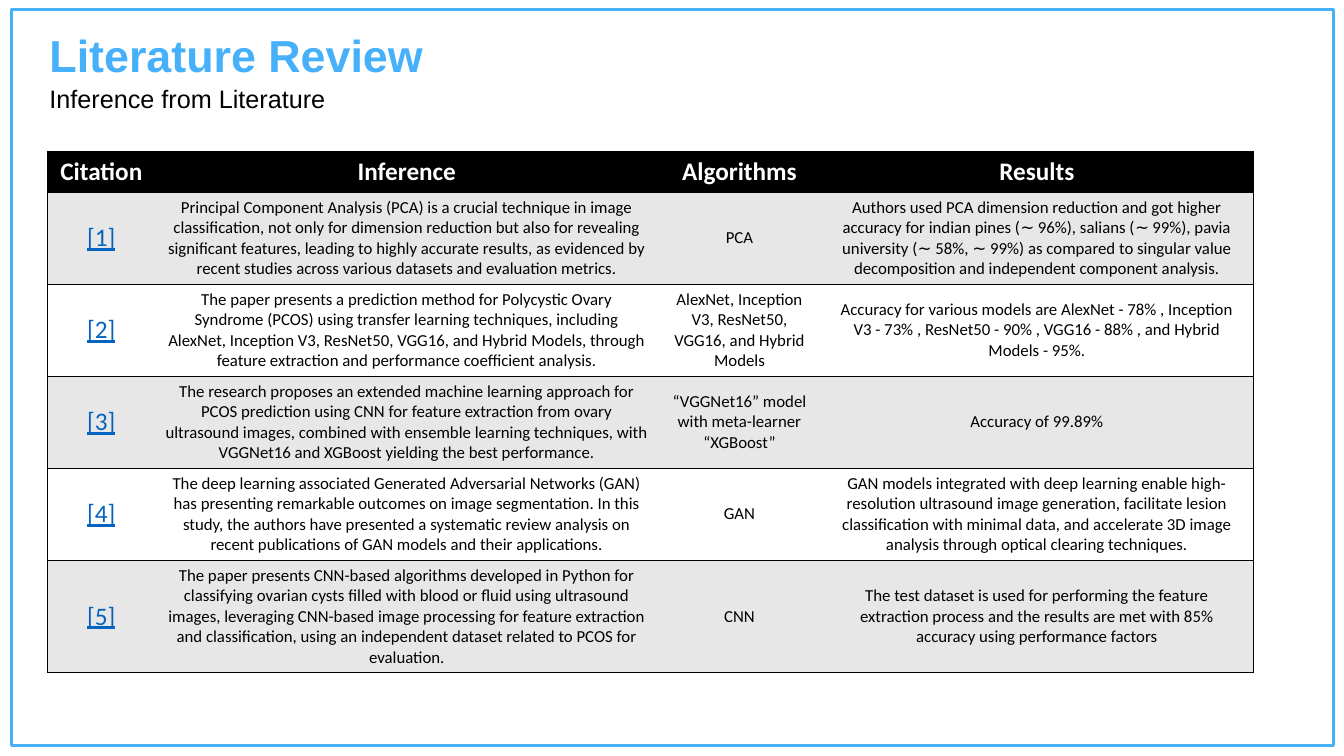
import pptx
import pptx.dml.color
import pptx.enum.shapes
import pptx.enum.text
import pptx.oxml
import pptx.oxml.ns
import pptx.util

Inches = pptx.util.Inches
ALIGN = pptx.enum.text.PP_ALIGN
ANCHOR = pptx.enum.text.MSO_ANCHOR

BLACK, WHITE, GREY, LINK_BLUE = "000000", "FFFFFF", "E7E7E7", "0563C1"
FRAME_BLUE, TITLE_BLUE = "46B0F9", "46B0FA"

TITLE_FONT = {"name": "Arial", "size": pptx.util.Pt(32), "bold": True}
SUBTITLE_FONT = {"name": "Arial", "size": pptx.util.Pt(18), "bold": False}
HEADER_FONT = {"name": "Calibri", "size": pptx.util.Pt(18), "bold": True}
CITATION_FONT = {"name": "Calibri", "size": pptx.util.Pt(18), "bold": False, "underline": True}
DETAIL_FONT = {"name": "Calibri", "size": pptx.util.Pt(12), "bold": False}

COLUMN_WIDTHS = [1.07, 4.99, 1.61, 4.29]
HEADER_HEIGHT, ROW_HEIGHT = 0.4, 0.91
HEADINGS = ["Citation", "Inference", "Algorithms", "Results"]
PAPERS = [
    ["[1]",
     "Principal Component Analysis (PCA) is a crucial technique in image classification, not only for dimension reduction but also for revealing significant features, leading to highly accurate results, as evidenced by recent studies across various datasets and evaluation metrics.",
     "PCA",
     "Authors used PCA dimension reduction and got higher accuracy for indian pines (∼ 96%), salians (∼ 99%), pavia university (∼ 58%, ∼ 99%) as compared to singular value decomposition and independent component analysis."],
    ["[2]",
     "The paper presents a prediction method for Polycystic Ovary Syndrome (PCOS) using transfer learning techniques, including AlexNet, Inception V3, ResNet50, VGG16, and Hybrid Models, through feature extraction and performance coefficient analysis.",
     "AlexNet, Inception V3, ResNet50, VGG16, and Hybrid Models",
     "Accuracy for various models are AlexNet - 78% , Inception V3 - 73% , ResNet50 - 90% , VGG16 - 88% , and Hybrid Models - 95%."],
    ["[3]",
     "The research proposes an extended machine learning approach for PCOS prediction using CNN for feature extraction from ovary ultrasound images, combined with ensemble learning techniques, with VGGNet16 and XGBoost yielding the best performance.",
     "“VGGNet16” model with meta-learner “XGBoost”",
     "Accuracy of 99.89%"],
    ["[4]",
     "The deep learning associated Generated Adversarial Networks (GAN) has presenting remarkable outcomes on image segmentation. In this study, the authors have presented a systematic review analysis on recent publications of GAN models and their applications.",
     "GAN",
     "GAN models integrated with deep learning enable high-resolution ultrasound image generation, facilitate lesion classification with minimal data, and accelerate 3D image analysis through optical clearing techniques."],
    ["[5]",
     "The paper presents CNN-based algorithms developed in Python for classifying ovarian cysts filled with blood or fluid using ultrasound images, leveraging CNN-based image processing for feature extraction and classification, using an independent dataset related to PCOS for evaluation.",
     "CNN",
     "The test dataset is used for performing the feature extraction process and the results are met with 85% accuracy using performance factors"],
]


def colour(value):
    return pptx.dml.color.RGBColor.from_string(value)


def apply_format(target, values):
    for name, value in values.items():
        setattr(target, name, value)


def write_text(para, text, font, ink):
    span = para.add_run()
    span.text = text
    apply_format(span.font, font)
    span.font.color.rgb = colour(ink)


def place_heading(placeholder, box, text, font, ink):
    left, top, width, height = map(Inches, box)
    apply_format(placeholder, {"left": left, "top": top, "width": width, "height": height})
    apply_format(placeholder.text_frame, {
        "vertical_anchor": ANCHOR.TOP, "word_wrap": True,
        "auto_size": pptx.enum.text.MSO_AUTO_SIZE.NONE})
    para = placeholder.text_frame.paragraphs[0]
    apply_format(para, {"alignment": ALIGN.LEFT, "space_before": pptx.util.Pt(0)})
    properties = para._p.get_or_add_pPr()
    properties.set("marL", "0")
    properties.set("indent", "0")
    pptx.oxml.ns.qn("a:buNone")
    properties.append(pptx.oxml.parse_xml(f'<a:buNone {pptx.oxml.ns.nsdecls("a")}/>'))
    write_text(para, text, font, ink)


def add_frame(page, box):
    frame = page.shapes.add_shape(pptx.enum.shapes.MSO_SHAPE.RECTANGLE, *map(Inches, box))
    frame.shadow.inherit = False
    frame.fill.background()
    frame.line.color.rgb = colour(FRAME_BLUE)
    frame.line.width = pptx.util.Pt(2.25)


def add_borders(cell, visible_sides):
    properties = cell._tc.get_or_add_tcPr()
    for side in "LRTB":
        paint = "<a:noFill/>"
        if side in visible_sides:
            paint = f'<a:solidFill><a:srgbClr val="{BLACK}"/></a:solidFill>'
        properties.append(pptx.oxml.parse_xml(
            f'<a:ln{side} {pptx.oxml.ns.nsdecls("a")} w="{pptx.util.Pt(1)}">{paint}</a:ln{side}>'))


def fill_cell(cell, text, font, ink, background, visible_sides):
    add_borders(cell, visible_sides)
    cell.fill.solid()
    cell.fill.fore_color.rgb = colour(background)
    cell.vertical_anchor = ANCHOR.MIDDLE
    para = cell.text_frame.paragraphs[0]
    para.alignment = ALIGN.CENTER
    write_text(para, text, font, ink)


def add_review_table(page, box):
    rows = [HEADINGS] + PAPERS
    last_column = len(HEADINGS) - 1
    table = page.shapes.add_table(len(rows), len(HEADINGS), *map(Inches, box)).table
    apply_format(table, {"first_row": False, "horz_banding": False})
    for column, width in zip(table.columns, COLUMN_WIDTHS):
        column.width = Inches(width)
    for row_index, texts in enumerate(rows):
        is_header = row_index == 0
        table.rows[row_index].height = Inches(HEADER_HEIGHT if is_header else ROW_HEIGHT)
        background = BLACK if is_header else GREY if row_index % 2 else WHITE
        for column_index, text in enumerate(texts):
            if is_header:
                font, ink = HEADER_FONT, WHITE
            elif column_index == 0:
                font, ink = CITATION_FONT, LINK_BLUE
            else:
                font, ink = DETAIL_FONT, BLACK
            sides = "TB" + {0: "L", last_column: "R"}.get(column_index, "")
            fill_cell(table.cell(row_index, column_index), text, font, ink, background, sides)


def build_review_page(deck):
    page = deck.slides.add_slide(deck.slide_layouts[1])
    add_frame(page, (0.11, 0.09, 13.12, 7.31))
    place_heading(page.shapes.title, (0.39, 0.22, 8.24, 0.64),
                  "Literature Review", TITLE_FONT, TITLE_BLUE)
    place_heading(page.placeholders[1], (0.39, 0.78, 4.62, 0.4),
                  "Inference from Literature", SUBTITLE_FONT, BLACK)
    add_review_table(page, (0.47, 1.5, sum(COLUMN_WIDTHS), 5.13))


def main():
    deck = pptx.Presentation()
    apply_format(deck, {"slide_width": Inches(13.33), "slide_height": Inches(7.5)})
    build_review_page(deck)
    deck.save("out.pptx")


if __name__ == "__main__":
    main()
